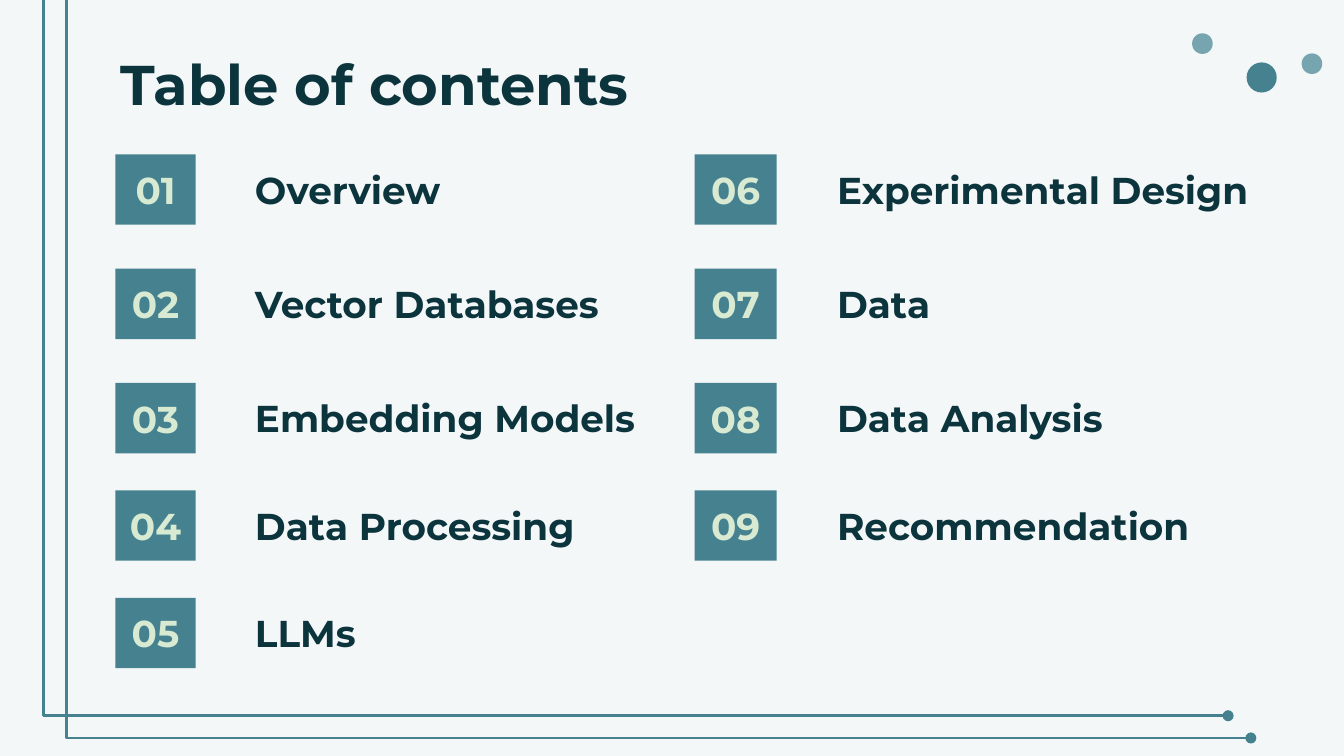
from dataclasses import dataclass
from itertools import accumulate

from lxml import etree
from pptx import Presentation
from pptx.dml.color import RGBColor
from pptx.enum import shapes, text
from pptx.oxml import ns
from pptx.util import Cm, Pt


@dataclass(frozen=True)
class Theme:
    background: str = "F3F7F8"
    ink: str = "0C343D"
    accent: str = "45818E"
    soft: str = "76A5AF"
    pale: str = "D9EAD3"
    font: str = "Montserrat"
    title_size: int = 30
    entry_size: int = 20
    rail_width: float = 1.5


THEME = Theme()
INSET = Cm(0.25)
ROW_TOPS = list(accumulate([2.92, 2.16, 2.16, 2.03, 2.03]))
ROW_HEIGHT = 1.33
TOPICS = [
    "Overview", "Vector Databases", "Embedding Models", "Data Processing", "LLMs",
    "Experimental Design", "Data", "Data Analysis", "Recommendation",
]


def apply(target, values):
    for attribute, value in values.items():
        setattr(target, attribute, value)


def place(part, left, top, width, height):
    apply(part, {"left": Cm(left), "top": Cm(top),
                 "width": Cm(width), "height": Cm(height)})


def write(part, words, size, color, anchor, align, spacing=1.0):
    frame = part.text_frame
    frame.text = words
    apply(frame, {
        "word_wrap": True, "auto_size": text.MSO_AUTO_SIZE.NONE,
        "vertical_anchor": anchor,
        "margin_left": INSET, "margin_right": INSET,
        "margin_top": INSET, "margin_bottom": INSET,
    })
    paragraph = frame.paragraphs[0]
    apply(paragraph, {"alignment": align, "line_spacing": spacing})
    font = paragraph.runs[0].font
    apply(font, {"name": THEME.font, "size": Pt(size), "bold": True})
    font.color.rgb = RGBColor.from_string(color)


def filled_shape(slide, preset, color, left, top, width, height):
    shape = slide.shapes.add_shape(preset, Cm(left), Cm(top), Cm(width), Cm(height))
    shape.shadow.inherit = False
    shape.fill.solid()
    shape.fill.fore_color.rgb = RGBColor.from_string(color)
    shape.line.fill.background()
    return shape


def draw_dots(slide, left, top):
    for dx, dy, diameter, color in [
        (1.03, 0.55, 0.57, THEME.accent),
        (0, 0, 0.39, THEME.soft),
        (2.07, 0.38, 0.39, THEME.soft),
    ]:
        filled_shape(slide, shapes.MSO_SHAPE.OVAL, color,
                     left + dx, top + dy, diameter, diameter)


def draw_rail(slide, left, top, width, height):
    rail = slide.shapes.add_connector(
        shapes.MSO_CONNECTOR.ELBOW,
        Cm(left), Cm(top), Cm(left + width), Cm(top + height))
    rail.line.width = Pt(THEME.rail_width)
    rail.line.color.rgb = RGBColor.from_string(THEME.accent)
    properties = rail.element.spPr
    corner = properties.find(ns.qn("a:prstGeom")).find(ns.qn("a:avLst"))
    etree.SubElement(corner, ns.qn("a:gd"), name="adj1", fmla="val 0")
    etree.SubElement(rail.line._get_or_add_ln(), ns.qn("a:tailEnd"), type="oval")
    etree.SubElement(properties, ns.qn("a:effectLst"))


def draw_title(slide, left, top, width, height):
    title = slide.shapes.title
    place(title, left, top, width, height)
    write(title, "Table of contents", THEME.title_size, THEME.ink,
          text.MSO_ANCHOR.TOP, text.PP_ALIGN.LEFT)


def draw_column(slide, topics, first, left, width, badge_width, topic_offset):
    for number, (topic, top) in enumerate(zip(topics, ROW_TOPS), first):
        badge = filled_shape(slide, shapes.MSO_SHAPE.RECTANGLE, THEME.accent,
                             left, top, badge_width, ROW_HEIGHT)
        write(badge, f"{number:02}", THEME.entry_size, THEME.pale,
              text.MSO_ANCHOR.MIDDLE, text.PP_ALIGN.CENTER)
        label = slide.shapes.add_textbox(
            Cm(left + topic_offset), Cm(top),
            Cm(width - topic_offset), Cm(ROW_HEIGHT))
        write(label, topic, THEME.entry_size, THEME.ink,
              text.MSO_ANCHOR.BOTTOM, text.PP_ALIGN.LEFT, 1.15)


def build_contents(presentation):
    slide = presentation.slides.add_slide(presentation.slide_layouts[5])
    slide.background.fill.solid()
    slide.background.fill.fore_color.rgb = RGBColor.from_string(THEME.background)
    draw_dots(slide, 22.53, 0.63)
    draw_rail(slide, 0.83, 0, 22.38, 13.53)
    draw_rail(slide, 1.26, 0, 22.38, 13.95)
    draw_title(slide, 2.03, 0.69, 21.41, 1.6)
    draw_column(slide, TOPICS[:5], 1, 2.18, 10.94, 1.52, 2.39)
    draw_column(slide, TOPICS[5:], 6, 13.13, 12.27, 1.55, 2.44)


def main():
    presentation = Presentation()
    apply(presentation, {"slide_width": Cm(25.4), "slide_height": Cm(14.29)})
    build_contents(presentation)
    presentation.save("out.pptx")


if __name__ == "__main__":
    main()
